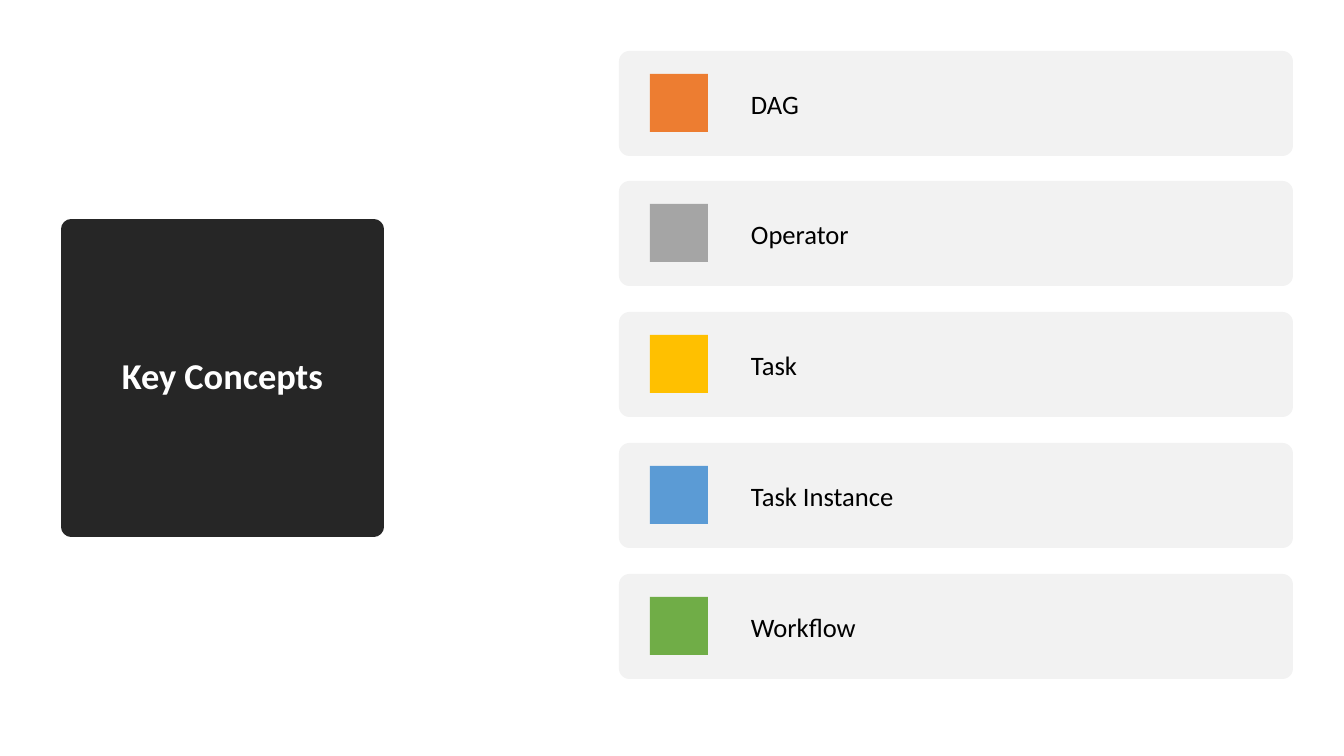
from dataclasses import dataclass
from typing import Any

from pptx import Presentation
from pptx import util as u
from pptx.dml.color import RGBColor
from pptx.enum import shapes, text
from pptx.oxml.ns import qn

EMU_PER_PX = 914400 / 100.8
TITLE_COLOUR = "262626"
CARD_COLOUR = "F2F2F2"
CARD_LEFT, CARD_WIDTH, CARD_HEIGHT = 619, 674, 105
FIRST_TOP, LAST_TOP = 51, 574
SWATCH_LEFT, SWATCH_SIZE = 650, 58
LABEL_LEFT, LABEL_INSET = 740, 11


@dataclass(frozen=True)
class Concept:
    label: str
    colour: str


@dataclass(frozen=True)
class Box:
    left: int
    top: int
    width: int
    height: int

    def emu(self) -> list[u.Emu]:
        return [px(value) for value in (self.left, self.top, self.width, self.height)]


CONCEPTS = [
    Concept("DAG", "ED7D31"),
    Concept("Operator", "A5A5A5"),
    Concept("Task", "FFC000"),
    Concept("Task Instance", "5B9BD5"),
    Concept("Workflow", "70AD47"),
]


def px(value: int) -> u.Emu:
    return u.Emu(round(value * EMU_PER_PX))


def rgb(value: str) -> RGBColor:
    return RGBColor.from_string(value)


def apply_format(target: Any, values: dict[str, Any]) -> None:
    for name, value in values.items():
        setattr(target, name, value)


def paint(shape: Any, colour: str) -> None:
    shape.fill.solid()
    shape.fill.fore_color.rgb = rgb(colour)


def write_text(shape: Any, wording: str, frame_format: dict[str, Any],
               paragraph_format: dict[str, Any], font_format: dict[str, Any], colour: str) -> None:
    frame = shape.text_frame
    frame.text = wording
    shared = {"word_wrap": True, "auto_size": text.MSO_AUTO_SIZE.NONE,
              "vertical_anchor": text.MSO_ANCHOR.MIDDLE}
    apply_format(frame, shared | frame_format)
    paragraph = frame.paragraphs[0]
    apply_format(paragraph, paragraph_format)
    font = paragraph.runs[0].font
    apply_format(font, {"name": "Calibri"} | font_format)
    font.color.rgb = rgb(colour)


def draw_title(slide: Any) -> None:
    title = slide.shapes.title
    position = dict(zip(("left", "top", "width", "height"), Box(71, 229, 303, 298).emu()))
    apply_format(title, position)
    geometry = title._element.spPr.get_or_add_prstGeom() if hasattr(
        title._element.spPr, "get_or_add_prstGeom") else title._element.spPr._add_prstGeom()
    geometry.set("prst", "ellipse")
    paint(title, TITLE_COLOUR)
    title.line.color.rgb = rgb(TITLE_COLOUR)
    title.line.width = u.Pt(13.75)
    outline = title._element.spPr.find(qn("a:ln"))
    outline.append(outline.makeelement(qn("a:round"), {}))
    write_text(title, "Key Concepts", {},
               {"alignment": text.PP_ALIGN.CENTER, "line_spacing": 0.9},
               {"size": u.Pt(26), "bold": True}, "FFFFFF")


def draw_block(slide: Any, kind: shapes.MSO_SHAPE, box: Box, colour: str) -> Any:
    shape = slide.shapes.add_shape(kind, *box.emu())
    shape.shadow.inherit = False
    paint(shape, colour)
    shape.line.fill.background()
    return shape


def draw_concept(slide: Any, concept: Concept, top: int) -> None:
    card = draw_block(slide, shapes.MSO_SHAPE.ROUNDED_RECTANGLE,
                      Box(CARD_LEFT, top, CARD_WIDTH, CARD_HEIGHT), CARD_COLOUR)
    card.adjustments[0] = 0.1
    swatch_top = top + (CARD_HEIGHT - SWATCH_SIZE) // 2
    draw_block(slide, shapes.MSO_SHAPE.RECTANGLE,
               Box(SWATCH_LEFT, swatch_top, SWATCH_SIZE, SWATCH_SIZE), concept.colour)
    label_width = CARD_LEFT + CARD_WIDTH - LABEL_LEFT
    label = slide.shapes.add_textbox(*Box(LABEL_LEFT, top, label_width, CARD_HEIGHT).emu())
    margins = {f"margin_{side}": px(LABEL_INSET) for side in ("left", "top", "right", "bottom")}
    write_text(label, concept.label, margins, {"alignment": text.PP_ALIGN.LEFT},
               {"size": u.Pt(19)}, "000000")


def main() -> None:
    presentation = Presentation()
    apply_format(presentation, {"slide_width": px(1344), "slide_height": px(756)})
    slide = presentation.slides.add_slide(presentation.slide_layouts.get_by_name("Title Only"))
    draw_title(slide)
    for index, concept in enumerate(CONCEPTS):
        top = FIRST_TOP + (LAST_TOP - FIRST_TOP) * index // (len(CONCEPTS) - 1)
        draw_concept(slide, concept, top)
    presentation.save("out.pptx")


if __name__ == "__main__":
    main()
